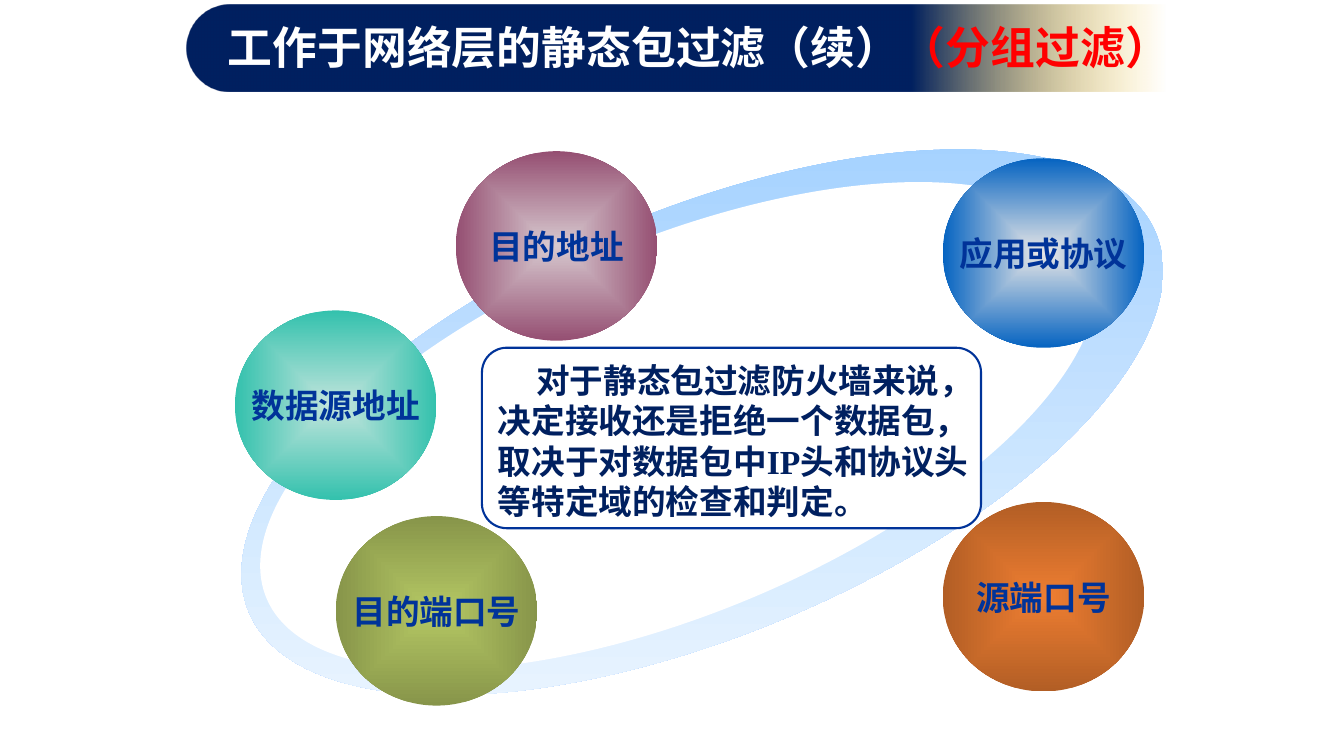
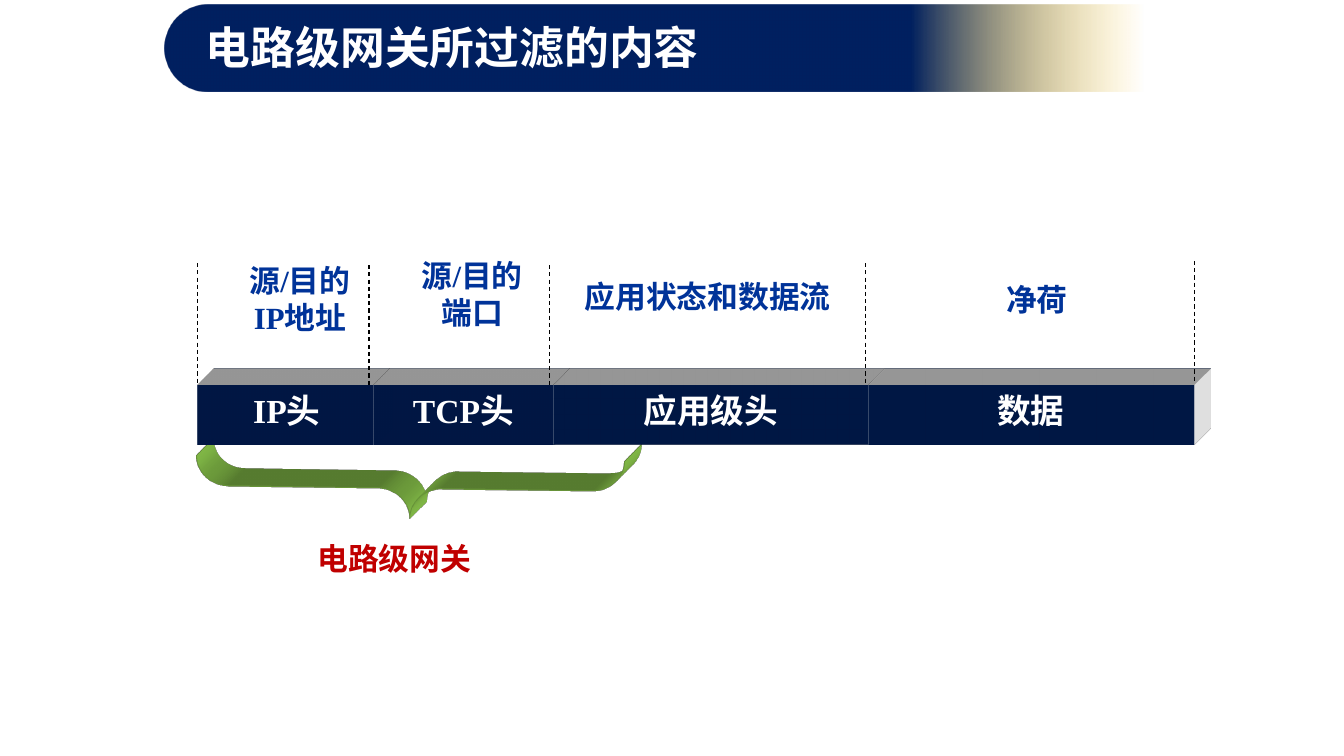
from dataclasses import dataclass

from pptx import Presentation
from pptx.dml.color import RGBColor
from pptx.enum.dml import MSO_LINE
from pptx.enum.shapes import MSO_CONNECTOR, MSO_SHAPE
from pptx.enum.text import MSO_ANCHOR, MSO_AUTO_SIZE, PP_ALIGN
from pptx.oxml import parse_xml
from pptx.oxml.ns import nsdecls, qn
from pptx.util import Emu, Pt

ROUNDED, OVAL, RECTANGLE = MSO_SHAPE.ROUNDED_RECTANGLE, MSO_SHAPE.OVAL, MSO_SHAPE.RECTANGLE
BRACE = MSO_SHAPE.LEFT_BRACE
STRAIGHT = MSO_CONNECTOR.STRAIGHT
DASH = MSO_LINE.DASH
TOP, MIDDLE = MSO_ANCHOR.TOP, MSO_ANCHOR.MIDDLE
LEFT, CENTER = PP_ALIGN.LEFT, PP_ALIGN.CENTER
NO_RESIZE = MSO_AUTO_SIZE.NONE
PX = 9144
TITLE_ONLY = 5


@dataclass(frozen=True)
class Theme:
    """Colours, fonts and type sizes shared by the slides."""
    navy: str = "002060"
    blue: str = "003399"
    white: str = "FFFFFF"
    black: str = "000000"
    red: str = "FF0000"
    crimson: str = "C00000"
    gold: str = "FFC000"
    green: str = "92D050"
    ring: tuple = ("99CCFF", "F5FAFF")
    latin: str = "Times New Roman"
    hanzi: str = "Noto Sans CJK SC"
    title: int = 32
    body: int = 24
    label: int = 22
    leading: float = 1.2


THEME = Theme()


def px(*lengths):
    """Turn px lengths into EMU."""
    return [Emu(length * PX) for length in lengths]


def add_shape(page, kind, box, fill=None, line=None, weight=0.75):
    """Add a preset shape with optional fill and outline, without shadow."""
    shape = page.shapes.add_shape(kind, *px(*box))
    shape.shadow.inherit = False
    if fill:
        shape.fill.solid()
        shape.fill.fore_color.rgb = RGBColor.from_string(fill)
    else:
        shape.fill.background()
    if line:
        shape.line.color.rgb = RGBColor.from_string(line)
        shape.line.width = Pt(weight)
    else:
        shape.line.fill.background()
    return shape


def blend(shape, stops, angle=None):
    """Fill with (position, colour, opacity) stops, linear or from the centre."""
    marks = "".join(
        f'<a:gs pos="{position * 1000}"><a:srgbClr val="{color}">'
        f'<a:alpha val="{opacity * 1000}"/></a:srgbClr></a:gs>'
        for position, color, opacity in stops)
    if angle is None:
        course = ('<a:path path="shape"><a:fillToRect l="50000" t="50000" '
                  'r="50000" b="50000"/></a:path>')
    else:
        course = f'<a:lin ang="{angle * 60000}" scaled="0"/>'
    shape.fill.gradient()
    properties = shape.element.spPr
    properties.replace(properties.find(qn("a:gradFill")), parse_xml(
        f'<a:gradFill {nsdecls("a")} rotWithShape="0"><a:gsLst>{marks}</a:gsLst>'
        f'{course}</a:gradFill>'))


def extrude(shape, color):
    """Give a shape depth towards the top right."""
    bevel = 'w="13500" h="13500" prst="angle"'
    for part in (
        f'<a:scene3d {nsdecls("a")}><a:camera prst="legacyObliqueTopRight"/>'
        '<a:lightRig rig="legacyFlat3" dir="b"/></a:scene3d>',
        f'<a:sp3d {nsdecls("a")} extrusionH="430200" prstMaterial="legacyMatrix">'
        f'<a:bevelT {bevel}/><a:bevelB {bevel}/>'
        f'<a:extrusionClr><a:srgbClr val="{color}"/></a:extrusionClr></a:sp3d>',
    ):
        shape.element.spPr.append(parse_xml(part))


def add_span(para, text, size, color, latin):
    """Append one bold run to a paragraph."""
    span = para.add_run()
    span.text = text
    span.font.size = Pt(size)
    span.font.bold = True
    span.font.color.rgb = RGBColor.from_string(color)
    span.font.name = latin
    span.font._element.append(
        parse_xml(f'<a:ea {nsdecls("a")} typeface="{THEME.hanzi}"/>'))


def write(shape, text, size=THEME.body, color=THEME.blue, latin=THEME.latin,
          align=CENTER, anchor=TOP, wrap=True, indent=0):
    """Write the lines of a text into a shape as paragraphs."""
    frame = shape.text_frame
    frame.auto_size = NO_RESIZE
    frame.word_wrap = wrap
    frame.vertical_anchor = anchor
    frame.margin_left, frame.margin_right, frame.margin_top, frame.margin_bottom = px(10, 10, 5, 5)
    for index, line in enumerate(text.split("\n")):
        para = frame.add_paragraph() if index else frame.paragraphs[0]
        para.alignment = align
        para.line_spacing = Pt(size * THEME.leading)
        para.space_before = para.space_after = Pt(0)
        if indent:
            para._p.get_or_add_pPr().set("indent", str(px(indent)[0]))
        add_span(para, line, size, color, latin)
    return frame


def add_label(page, box, text, **form):
    """Add a text box."""
    return write(page.shapes.add_textbox(*px(*box)), text, **form)


def add_title(page, box, solid, text, accent=""):
    """Place the title over a rounded band that fades out at the right."""
    left, top, width, height = box
    title = page.shapes.title
    title.left, title.top, title.width, title.height = px(left + 31, top + 10, width - 31, 64)
    form = dict(size=THEME.title, color=THEME.white, latin=THEME.hanzi)
    frame = write(title, text, align=LEFT, **form)
    if accent:
        add_span(frame.paragraphs[0], accent, **form | {"color": THEME.red})
    band = add_shape(page, ROUNDED, box, THEME.navy)
    band.adjustments[0] = 0.5
    blend(band, [(solid, THEME.navy, 100), (92, THEME.gold, 0)], 0)
    title.element.addprevious(band.element)


def add_ring(page, box):
    """Draw the tilted ring with its five spheres."""
    left, top, width, height = box
    outer = add_shape(page, OVAL, box, THEME.white)
    blend(outer, [(0, THEME.ring[0], 100), (100, THEME.ring[1], 100)], 90)
    inner = add_shape(page, OVAL, (left + 21, top + 29, width - 89, height - 51), THEME.white)
    outer.rotation = inner.rotation = 337.3
    spheres = [
        (24, 100, "数据源地址", "C1E4DC", "33C1AD"),
        (243, -58, "目的地址", "D7C9CF", "954F72"),
        (726, -51, "应用或协议", "E7E6E6", "0563C1"),
        (726, 290, "源端口号", "ED7D31", "B25E25"),
        (124, 304, "目的端口号", "B4C763", "87954A"),
    ]
    for x, y, text, core, rim in spheres:
        sphere = add_shape(page, OVAL, (left + x, top + y, 200, 188), rim)
        blend(sphere, [(0, core, 100), (100, rim, 100)])
        write(sphere, text, anchor=MIDDLE, wrap=False)


def add_statement(page, box, text):
    """Add the rounded panel with its paragraph."""
    left, top, width, height = box
    panel = add_shape(page, ROUNDED, box, THEME.white, line=THEME.blue, weight=1.5)
    panel.adjustments[0] = 0.137
    add_label(page, (left + 6, top + 7, width + 3, height - 7), text,
              color=THEME.navy, align=LEFT, indent=38)


def add_brace(page, box):
    """Draw the folded ribbon brace lying below the packet."""
    brace = add_shape(page, BRACE, box, line=THEME.green)
    brace.adjustments[0], brace.adjustments[1] = 0.543, 0.5
    brace.rotation = 270.8
    extrude(brace, THEME.green)


def add_packet(page, left, top, height):
    """Draw the packet as a row of solid blocks."""
    blocks = [(0, 177, "IP头"), (174, 179, "TCP头"), (353, 312, "应用级头"), (665, 323, "数据")]
    for x, width, text in blocks:
        block = add_shape(page, RECTANGLE, (left + x, top, width, height), THEME.navy,
                          line=THEME.white)
        extrude(block, THEME.white)
        write(block, text, color=THEME.white)


def add_fields(page, left, top):
    """Add the field labels and the dashed dividers between them."""
    labels = [
        (18, -4, 167, 119, "源/目的\nIP地址", CENTER),
        (202, -9, 141, 119, "源/目的\n端口", CENTER),
        (374, 12, 286, 59, "应用状态和数据流", LEFT),
        (792, 15, 99, 59, "净荷", LEFT),
    ]
    for x, y, width, height, text, align in labels:
        add_label(page, (left + x, top + y, width, height), text,
                  size=THEME.label, align=align)
    for x, y in [(0, 2), (170, 4), (349, 4), (662, 2), (989, 0)]:
        divider = page.shapes.add_connector(
            STRAIGHT, *px(left + x, top + y, left + x, top + y + 119))
        divider.line.color.rgb = RGBColor.from_string(THEME.black)
        divider.line.width = Pt(0.75)
        divider.line.dash_style = DASH
        divider.element.spPr.append(parse_xml(f'<a:effectLst {nsdecls("a")}/>'))


def build_filter_slide(page):
    """Build the slide on static packet filtering."""
    add_title(page, (185, 5, 1055, 86), 68, "工作于网络层的静态包过滤（续）", "（分组过滤）")
    add_ring(page, (209, 208, 975, 422))
    add_statement(page, (478, 345, 495, 179),
                  "对于静态包过滤防火墙来说，决定接收还是拒绝一个数据包，"
                  "取决于对数据包中IP头和协议头等特定域的检查和判定。")


def build_gateway_slide(page):
    """Build the slide on what a circuit-level gateway filters."""
    add_title(page, (163, 5, 1055, 86), 70, "电路级网关所过滤的内容")
    add_brace(page, (377, 272, 59, 424))
    add_packet(page, 196, 382, 59)
    add_fields(page, 196, 259)
    add_label(page, (305, 531, 204, 59), "电路级网关", size=THEME.label,
              color=THEME.crimson, align=LEFT)


def main():
    """Build and save the deck."""
    deck = Presentation()
    deck.slide_width, deck.slide_height = px(1333, 750)
    for build in (build_filter_slide, build_gateway_slide):
        build(deck.slides.add_slide(deck.slide_layouts[TITLE_ONLY]))
    deck.save("out.pptx")


if __name__ == "__main__":
    main()
